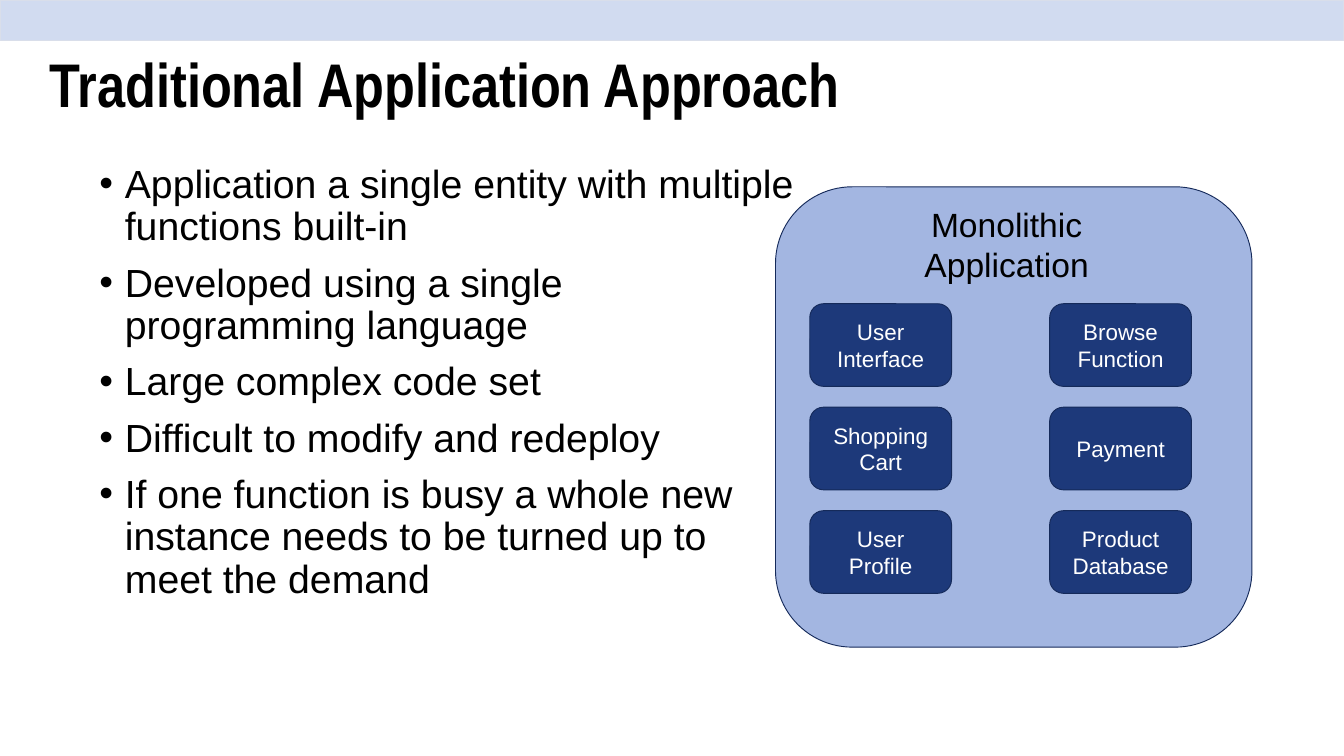
from lxml import etree
from pptx import Presentation
from pptx.dml.color import RGBColor
from pptx.enum.shapes import MSO_SHAPE
from pptx.enum.text import MSO_ANCHOR, MSO_AUTO_SIZE, PP_ALIGN
from pptx.oxml.ns import qn
from pptx.util import Inches, Pt

RECTANGLE, ROUNDED = MSO_SHAPE.RECTANGLE, MSO_SHAPE.ROUNDED_RECTANGLE
LEFT, CENTER = PP_ALIGN.LEFT, PP_ALIGN.CENTER
TOP, MIDDLE = MSO_ANCHOR.TOP, MSO_ANCHOR.MIDDLE
NO_FIT = MSO_AUTO_SIZE.NONE
TITLE_ONLY = 5
COLUMNS, ROWS = 20, 11.25
COLORS = {
    "band": "D1DBF0",
    "band_line": "D9DEEA",
    "application": "A3B6E1",
    "function": "1D397A",
    "outline": "152A5A",
    "text": "000000",
    "inverse": "FFFFFF",
}
BULLETS = [
    "Application a single entity with multiple functions built-in",
    "Developed using a single programming language",
    "Large complex code set",
    "Difficult to modify and redeploy",
    "If one function is busy a whole new instance needs to be turned up to meet the demand",
]
FUNCTIONS = [
    ["User\nInterface", "Browse\nFunction"],
    ["Shopping\nCart", "Payment"],
    ["User\nProfile", "Product\nDatabase"],
]


class SlideBuilder:
    """Holds the style and current slide, placing elements on a column and row grid."""

    def __init__(self, presentation):
        self.column = presentation.slide_width / COLUMNS
        self.row = presentation.slide_height / ROWS
        self.slide = presentation.slides.add_slide(presentation.slide_layouts[TITLE_ONLY])
        self.shapes = self.slide.shapes

    def area(self, left, top, width, height):
        """Convert grid positions to slide lengths."""
        return (round(left * self.column), round(top * self.row),
                round(width * self.column), round(height * self.row))

    def start_group(self):
        """Send the following elements into a new group."""
        self.shapes = self.slide.shapes.add_group_shape().shapes

    def set_text(self, shape, text, size, color="text", font="Arial", bold=False,
                 align=CENTER, anchor=MIDDLE, spacing=1.0):
        """Fill a shape with formatted text and return its paragraphs."""
        frame = shape.text_frame
        frame.text = text
        frame.word_wrap = True
        frame.auto_size = NO_FIT
        frame.vertical_anchor = anchor
        for paragraph in frame.paragraphs:
            paragraph.alignment = align
            paragraph.line_spacing = spacing
            for run in paragraph.runs:
                run.font.name = font
                run.font.size = Pt(size)
                run.font.bold = bold
                run.font.color.rgb = RGBColor.from_string(COLORS[color])
        return frame.paragraphs

    def title(self, text, *position):
        """Move and format the title placeholder."""
        shape = self.slide.shapes.title
        shape.left, shape.top, shape.width, shape.height = self.area(*position)
        self.set_text(shape, text, 66, font="Arial Narrow", bold=True, align=LEFT, spacing=0.9)

    def panel(self, kind, fill, line, *position):
        """Add a filled and outlined shape."""
        shape = self.shapes.add_shape(kind, *self.area(*position))
        shape.shadow.inherit = False
        shape.fill.solid()
        shape.fill.fore_color.rgb = RGBColor.from_string(COLORS[fill])
        shape.line.color.rgb = RGBColor.from_string(COLORS[line])
        shape.line.width = Pt(1)
        return shape

    def function(self, text, *position):
        """Add a labelled application function."""
        shape = self.panel(ROUNDED, "function", "outline", *position)
        self.set_text(shape, text, 24, color="inverse")

    def label(self, text, *position):
        """Add a centred heading."""
        shape = self.shapes.add_textbox(*self.area(*position))
        self.set_text(shape, text, 36, anchor=TOP)

    def bullets(self, items, *position):
        """Add a bulleted list with hanging indents."""
        shape = self.shapes.add_textbox(*self.area(*position))
        paragraphs = self.set_text(shape, "\n".join(items), 42, align=LEFT, anchor=TOP, spacing=0.9)
        shape.text_frame.margin_right = Inches(0.15)
        for index, paragraph in enumerate(paragraphs):
            paragraph.space_before = Pt(15 if index else 0)
            properties = paragraph._p.get_or_add_pPr()
            properties.set("marL", str(Inches(0.38)))
            properties.set("indent", str(-Inches(0.38)))
            etree.SubElement(properties, qn("a:buFont"), typeface="Arial")
            etree.SubElement(properties, qn("a:buChar"), char="•")


def main():
    """Build the slide and save it."""
    presentation = Presentation()
    presentation.slide_width, presentation.slide_height = Inches(20), Inches(11.25)
    builder = SlideBuilder(presentation)
    builder.panel(RECTANGLE, "band", "band_line", 0, 0, COLUMNS, 0.6)
    builder.title("Traditional Application Approach", 0.64, 0.22, 17.25, 2.17)
    builder.bullets(BULLETS, 1.38, 2.4, 10.67, 7.62)
    builder.start_group()
    builder.panel(ROUNDED, "application", "outline", 11.54, 2.78, 7.09, 6.85)
    builder.label("Monolithic\nApplication", 13.56, 2.98, 2.84, 1.31)
    for row, names in enumerate(FUNCTIONS):
        for column, name in enumerate(names):
            builder.function(name, 12.05 + 3.57 * column, 4.52 + 1.54 * row, 2.11, 1.23)
    presentation.save("out.pptx")


if __name__ == "__main__":
    main()
